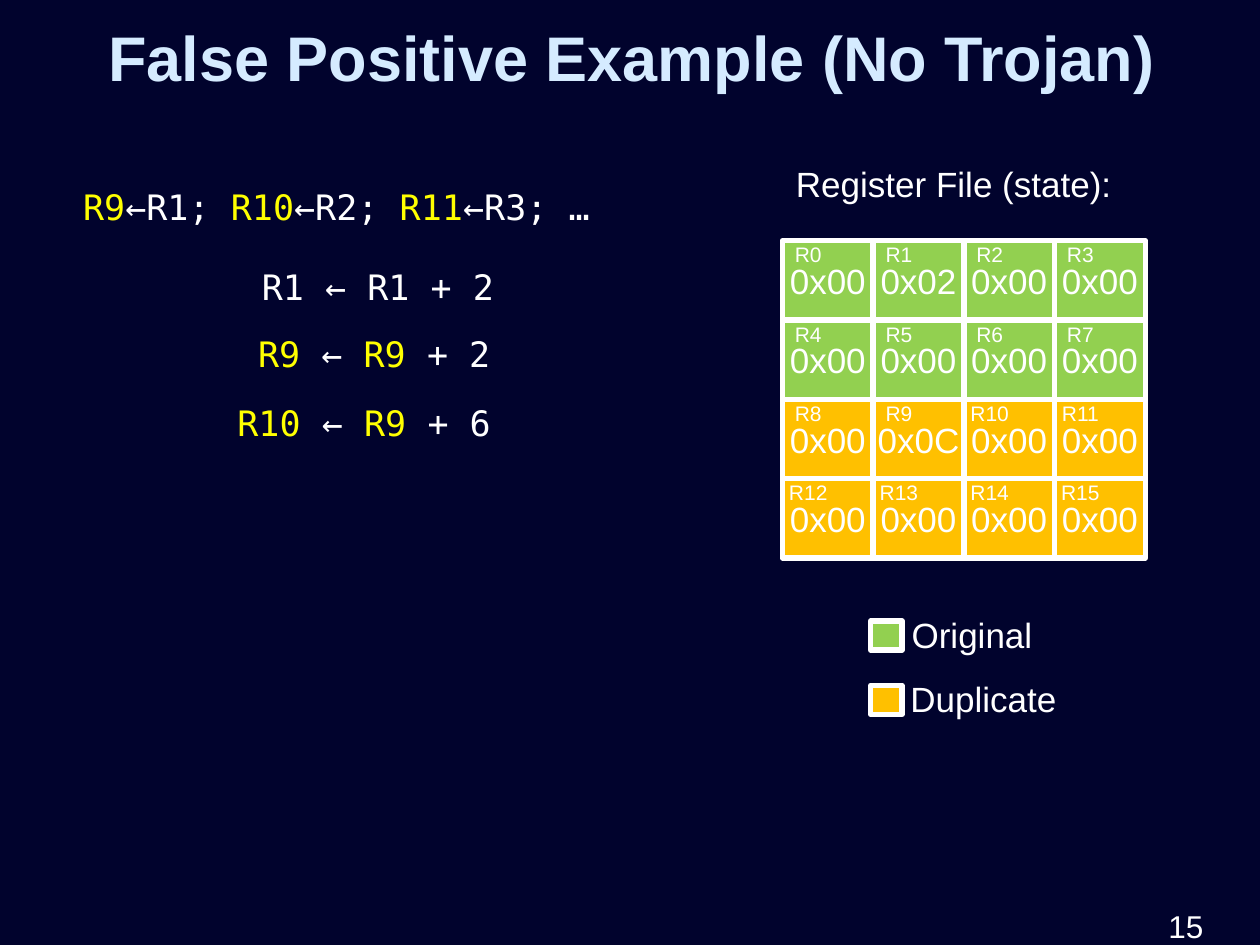
from pptx import Presentation
from pptx.dml.color import RGBColor
from pptx.enum.shapes import MSO_SHAPE
from pptx.enum.text import MSO_ANCHOR, PP_ALIGN
from pptx.util import Inches, Pt

COLORS = {
    "background": "01032D",
    "title": "D5EBFF",
    "text": "FFFFFF",
    "copy": "FFFF00",
    "original": "92D050",
    "duplicate": "FFC000",
}
CODE_FONT = "DejaVu Sans Mono"


def color(name):
    return RGBColor.from_string(COLORS[name])


def write(frame, spans, size=20, font="Arial", bold=False, align=PP_ALIGN.CENTER,
          anchor=MSO_ANCHOR.TOP, spacing=None, wrap=True, fill="text"):
    frame.word_wrap = wrap
    frame.vertical_anchor = anchor
    para = frame.paragraphs[0]
    para.alignment = align
    if spacing:
        para.line_spacing = spacing
    if isinstance(spans, str):
        spans = [(spans, fill)]
    for text, span_color in spans:
        span = para.add_run()
        span.text = text
        span.font.name = font
        span.font.size = Pt(size)
        span.font.bold = bold
        span.font.color.rgb = color(span_color)


class SlideBuilder:
    def __init__(self, deck):
        self.page = deck.slides.add_slide(deck.slide_layouts[5])
        background = self.page.background.fill
        background.solid()
        background.fore_color.rgb = color("background")

    def title(self, text, left, top, width, height):
        box = self.page.shapes.title
        box.left, box.top = Inches(left), Inches(top)
        box.width, box.height = Inches(width), Inches(height)
        write(box.text_frame, text, size=36, bold=True, fill="title",
              anchor=MSO_ANCHOR.MIDDLE)

    def text(self, spans, left, top, width, height, **style):
        box = self.page.shapes.add_textbox(
            Inches(left), Inches(top), Inches(width), Inches(height))
        write(box.text_frame, spans, **style)

    def block(self, left, top, width, height, fill, text=None):
        box = self.page.shapes.add_shape(
            MSO_SHAPE.RECTANGLE,
            Inches(left), Inches(top), Inches(width), Inches(height))
        box.shadow.inherit = False
        box.fill.solid()
        box.fill.fore_color.rgb = color(fill)
        box.line.color.rgb = color("text")
        box.line.width = Pt(3)
        if text:
            write(box.text_frame, text, anchor=MSO_ANCHOR.MIDDLE, wrap=False)


deck = Presentation()
deck.slide_width, deck.slide_height = Inches(10), Inches(7.5)
slide = SlideBuilder(deck)
slide.title("False Positive Example (No Trojan)", 0.11, 0.09, 9.81, 0.71)

code_lines = [
    (0.13, 1.26, [("R9", "copy"), ("←R1; ", "text"), ("R10", "copy"),
                  ("←R2; ", "text"), ("R11", "copy"), ("←R3; …", "text")]),
    (0.46, 1.89, [("R1 ← R1 + 2", "text")]),
    (0.43, 2.42, [("R9 ", "copy"), ("←", "text"), (" R9 ", "copy"), ("+ 2", "text")]),
    (0.35, 2.97, [("R10 ", "copy"), ("←", "text"), (" R9 ", "copy"), ("+ 6", "text")]),
]
for left, top, spans in code_lines:
    slide.text(spans, left, top, 5.08, 0.55, font=CODE_FONT, spacing=1.5)

slide.text("Register File (state):", 5.07, 1.07, 5, 0.55, spacing=1.5)

CELL_WIDTH, CELL_HEIGHT = 0.72, 0.63
values = {1: "0x02", 9: "0x0C"}
for register in range(16):
    row, column = divmod(register, 4)
    left = 6.21 + column * CELL_WIDTH
    top = 1.91 + row * CELL_HEIGHT
    kind = "original" if register < 8 else "duplicate"
    slide.block(left, top, CELL_WIDTH, CELL_HEIGHT, kind, values.get(register, "0x00"))
    slide.text(f"R{register}", left - 0.06, top - 0.04, 0.53, 0.3, size=12)

legend = [("original", 4.93, 7.13, 1.17), ("duplicate", 5.44, 7.12, 1.37)]
for kind, top, left, width in legend:
    slide.block(6.91, top, 0.25, 0.23, kind)
    slide.text(kind.capitalize(), left, top - 0.11, width, 0.44, wrap=False)

slide.text("15", 8.18, 7.15, 1.47, 0.35, size=18, align=PP_ALIGN.RIGHT)

deck.save("out.pptx")
